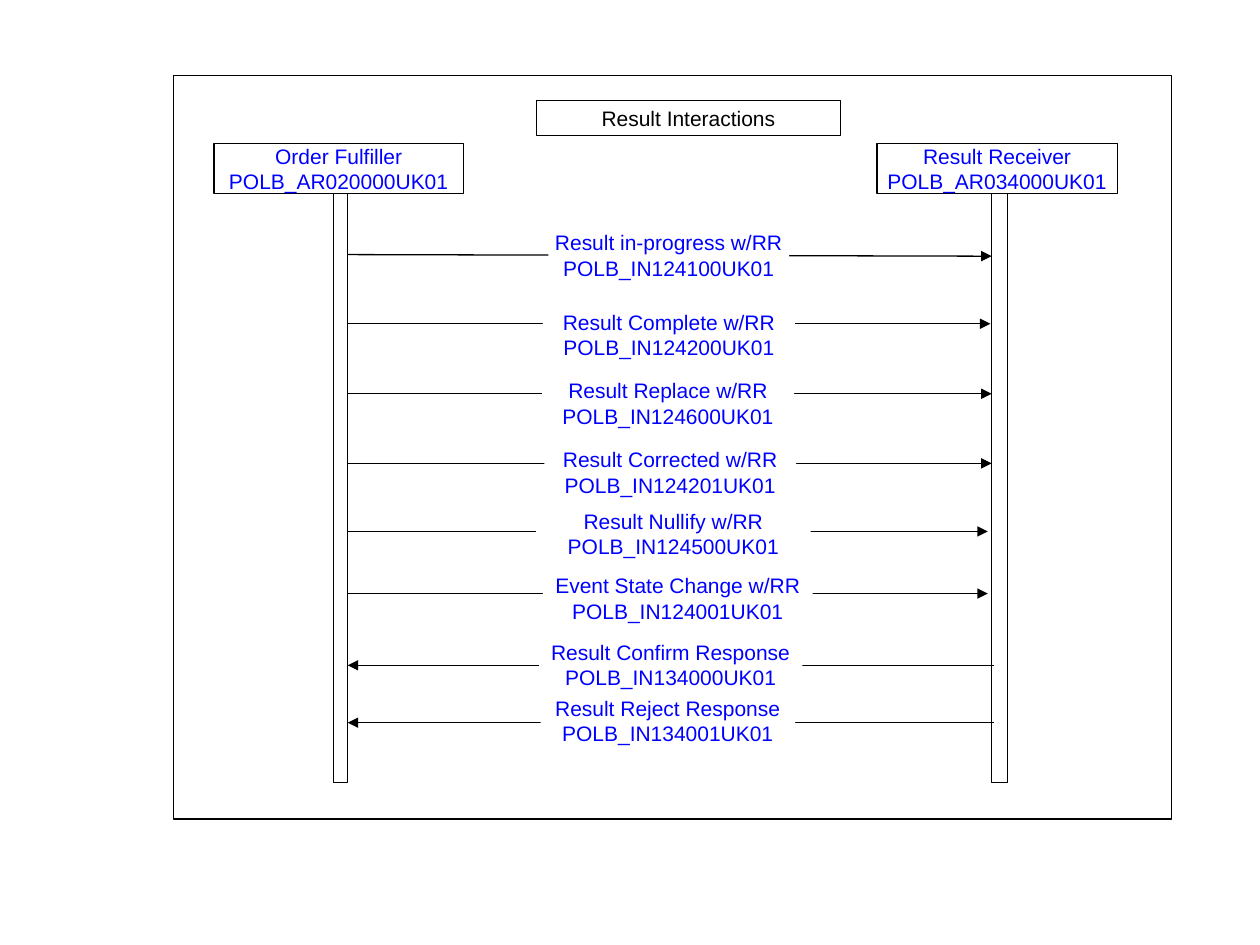
from typing import NamedTuple

from lxml.etree import SubElement
from pptx import Presentation
from pptx.dml.color import RGBColor
from pptx.enum.shapes import MSO_CONNECTOR, MSO_SHAPE
from pptx.enum.text import MSO_ANCHOR, MSO_AUTO_SIZE, PP_ALIGN
from pptx.oxml.ns import qn
from pptx.util import Pt

BLACK = "000000"
WHITE = "FFFFFF"
BLUE = "0000FF"
LINE_WIDTH = 0.74
LEFT_EDGE = 198.72
RIGHT_EDGE = 566.64
RIGHT_NEAR = 564.48
RIGHT_START = 568.08
LABEL_HEIGHT = 34.56
INSETS = (5.76, 2.88)
NO_INSETS = (0, 0)


class Message(NamedTuple):
    paragraphs: tuple
    box: tuple
    start: tuple
    end: tuple
    anchor: MSO_ANCHOR = MSO_ANCHOR.TOP
    insets: tuple = INSETS


MESSAGES = [
    Message(("Result in-progress w/RR", "POLB_IN124100UK01"),
            (313.4, 131.4, 137.52, 28.8),
            (LEFT_EDGE, 145.5), (RIGHT_EDGE, 146.4),
            MSO_ANCHOR.MIDDLE, NO_INSETS),
    Message(("Result Complete w/RR POLB_IN124200UK01",),
            (310.32, 174, 144, LABEL_HEIGHT),
            (198, 185.04), (565.92, 185.04)),
    Message(("Result Replace w/RR POLB_IN124600UK01",),
            (309.8, 213.12, 144, LABEL_HEIGHT),
            (LEFT_EDGE, 225), (RIGHT_EDGE, 225)),
    Message(("Result Corrected w/RR POLB_IN124201UK01",),
            (311.04, 252.5, 144, LABEL_HEIGHT),
            (LEFT_EDGE, 264.8), (RIGHT_EDGE, 264.8)),
    Message(("Result Nullify w/RR POLB_IN124500UK01",),
            (306.3, 287.7, 156.96, LABEL_HEIGHT),
            (LEFT_EDGE, 303.7), (RIGHT_NEAR, 303.7)),
    Message(("Event State Change w/RR POLB_IN124001UK01",),
            (310.32, 324.5, 154.08, LABEL_HEIGHT),
            (LEFT_EDGE, 339.2), (RIGHT_NEAR, 339.2)),
    Message(("Result Confirm Response", "POLB_IN134000UK01"),
            (308, 367.2, 150.48, 25.2),
            (RIGHT_START, 380.16), (LEFT_EDGE, 380.16), MSO_ANCHOR.MIDDLE),
    Message(("Result Reject Response POLB_IN134001UK01",),
            (308.88, 394.56, 145.44, LABEL_HEIGHT),
            (RIGHT_START, 413), (LEFT_EDGE, 413)),
]

ROLES = [
    (("Order Fulfiller", "POLB_AR020000UK01"),
     (122.3, 82.08, 142.56, 28.4), (190.6, 110.48, 7.92, 336.64)),
    (("Result Receiver", "POLB_AR034000UK01"),
     (501.12, 82.08, 137.4, 28.4), (566.6, 110.48, 9.1, 336.64)),
]


def color(value):
    return RGBColor.from_string(value)


def write_text(shape, paragraphs, text_color, anchor, insets=INSETS):
    side, edge = insets
    frame = shape.text_frame
    frame.word_wrap = True
    frame.auto_size = MSO_AUTO_SIZE.NONE
    frame.vertical_anchor = anchor
    frame.margin_left = frame.margin_right = Pt(side)
    frame.margin_top = frame.margin_bottom = Pt(edge)
    for index, text in enumerate(paragraphs):
        paragraph = frame.add_paragraph() if index else frame.paragraphs[0]
        paragraph.alignment = PP_ALIGN.CENTER
        run = paragraph.add_run()
        run.text = text
        run.font.name = "Arial"
        run.font.size = Pt(12)
        run.font.color.rgb = color(text_color)


def set_outline(shape):
    shape.line.color.rgb = color(BLACK)
    shape.line.width = Pt(LINE_WIDTH)


def add_box(slide, box, fill=None):
    shape = slide.shapes.add_shape(MSO_SHAPE.RECTANGLE, *map(Pt, box))
    shape.shadow.inherit = False
    if fill:
        shape.fill.solid()
        shape.fill.fore_color.rgb = color(fill)
        shape.line.fill.background()
    else:
        shape.fill.background()
        set_outline(shape)
    return shape


def add_arrow(slide, start, end):
    arrow = slide.shapes.add_connector(
        MSO_CONNECTOR.STRAIGHT, *map(Pt, start + end))
    set_outline(arrow)
    shape_properties = arrow._element.spPr
    line = shape_properties.find(qn("a:ln"))
    SubElement(line, qn("a:tailEnd"), type="triangle")
    SubElement(shape_properties, qn("a:effectLst"))


def add_title(slide, text, box):
    title = slide.shapes.title
    title.left, title.top, title.width, title.height = map(Pt, box)
    set_outline(title)
    write_text(title, (text,), BLACK, MSO_ANCHOR.TOP)


def add_role(slide, paragraphs, header_box, lifeline_box):
    add_box(slide, lifeline_box)
    header = add_box(slide, header_box)
    write_text(header, paragraphs, BLUE, MSO_ANCHOR.MIDDLE)


def add_message(slide, message):
    add_arrow(slide, message.start, message.end)
    label = add_box(slide, message.box, WHITE)
    write_text(label, message.paragraphs, BLUE, message.anchor, message.insets)


def main():
    presentation = Presentation()
    presentation.slide_width = Pt(720)
    presentation.slide_height = Pt(540)
    slide = presentation.slides.add_slide(presentation.slide_layouts[5])
    add_title(slide, "Result Interactions", (306.72, 57.6, 173.52, 19.9))
    add_box(slide, (99.2, 43.2, 570.24, 424.9))
    for role in ROLES:
        add_role(slide, *role)
    for message in MESSAGES:
        add_message(slide, message)
    presentation.save("out.pptx")


main()
